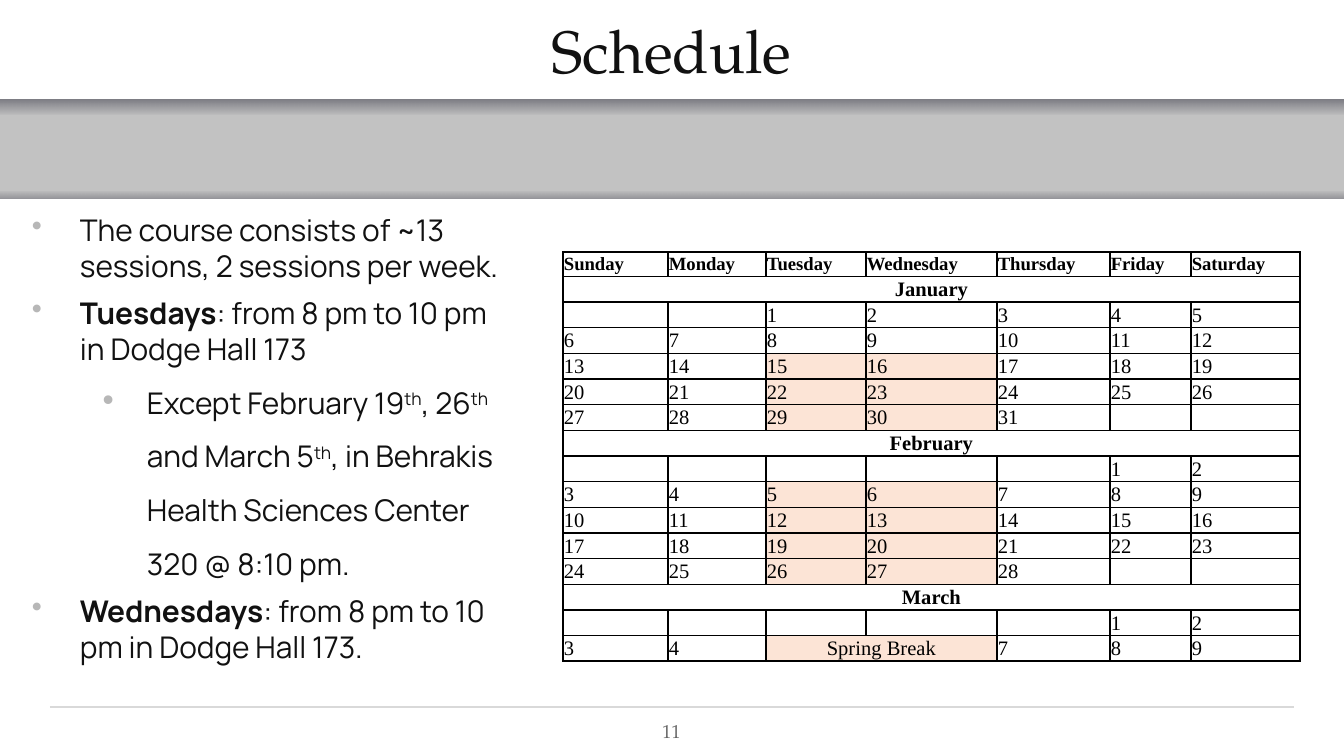
import pptx
import pptx.dml.color
import pptx.enum.shapes
import pptx.enum.text
import pptx.oxml
import pptx.oxml.ns
import pptx.util

EMU_PER_PX = 914400 / 134.4
COLORS = {
    "band": "C2C2C2", "white": "FFFFFF", "shadow": "000014", "rule": "D9D9D9",
    "text": "111111", "bullet": "B7B7B7", "number": "666666",
    "black": "000000", "session": "FCE4D6",
}
SERIF, SANS, TABLE_FONT = "TeX Gyre Pagella", "Manrope", "Times New Roman"
ALIGN = pptx.enum.text.PP_ALIGN
RECTANGLE = pptx.enum.shapes.MSO_SHAPE.RECTANGLE

BULLETS = [
    (0, [("The course consists of ~13 sessions, 2 sessions per week.", "")]),
    (0, [("Tuesdays", "bold"), (": from 8 pm to 10 pm in Dodge Hall 173", "")]),
    (1, [("Except February 19", ""), ("th", "super"), (", 26", ""), ("th", "super"),
         (" and March 5", ""), ("th", "super"),
         (", in Behrakis Health Sciences Center 320 @ 8:10 pm.", "")]),
    (0, [("Wednesdays", "bold"), (": from 8 pm to 10 pm in Dodge Hall 173.", "")]),
]
WEEKDAYS = ["Sunday", "Monday", "Tuesday", "Wednesday", "Thursday", "Friday", "Saturday"]
SESSION_COLUMNS = (2, 3)
# month, column of day 1, last day shown, first session day
MONTHS = [("January", 2, 31, 15), ("February", 5, 28, 5), ("March", 5, 9, 5)]
COLUMN_WIDTHS = [105, 98, 100, 131, 113, 81, 109]


def px(length):
    return pptx.util.Emu(round(length * EMU_PER_PX))


def rgb(name):
    return pptx.dml.color.RGBColor.from_string(COLORS[name])


def add_xml(parent, markup):
    namespace = pptx.oxml.ns.nsdecls("a")
    parent.append(pptx.oxml.parse_xml(markup.replace(">", f" {namespace}>", 1)))


def format_run(run, font_name, size, color, bold=False):
    run.font.name = font_name
    run.font.size = pptx.util.Pt(size)
    run.font.color.rgb = rgb(color)
    run.font.bold = bold


def add_rectangle(slide, box):
    shape = slide.shapes.add_shape(RECTANGLE, *map(px, box))
    shape.shadow.inherit = False
    shape.line.fill.background()
    return shape


def add_panel(slide, box):
    shape = add_rectangle(slide, box)
    shape.fill.solid()
    shape.fill.fore_color.rgb = rgb("white")


def add_edge_shadow(slide, box, angle):
    """Fade from half-opaque to clear in the direction of the angle."""
    shape = add_rectangle(slide, box)
    shape.fill.gradient()
    shape.fill.gradient_angle = angle
    for stop, position, alpha in zip(shape.fill.gradient_stops, (0, 1), (50000, 0)):
        stop.position = position
        stop.color.rgb = rgb("shadow")
    colors = shape.fill._xPr.iter(pptx.oxml.ns.qn("a:srgbClr"))
    for color, alpha in zip(list(colors), (50000, 0)):
        add_xml(color, f'<a:alpha val="{alpha}"></a:alpha>')


def add_backdrop(slide, box):
    left, top, width, height = box
    slide.background.fill.solid()
    slide.background.fill.fore_color.rgb = rgb("band")
    add_edge_shadow(slide, (left, top + 192, width, 16), 90)
    add_edge_shadow(slide, (left, top + 94, width, 21), 270)
    add_panel(slide, (left, top, width, 99))
    add_panel(slide, (left, top + 199, width, height - 199))
    rule = slide.shapes.add_connector(
        pptx.enum.shapes.MSO_CONNECTOR.STRAIGHT,
        px(left + 50), px(top + 707), px(left + width - 50), px(top + 707))
    rule.line.color.rgb = rgb("rule")
    rule.line.width = pptx.util.Pt(0.75)
    add_xml(rule._element.spPr, "<a:effectLst></a:effectLst>")


def add_text_frame(slide, box):
    frame = slide.shapes.add_textbox(*map(px, box)).text_frame
    frame.word_wrap = True
    frame.margin_left = frame.margin_right = px(13)
    frame.margin_top = frame.margin_bottom = px(13)
    return frame


def add_centered_text(slide, box, text, size, color):
    frame = add_text_frame(slide, box)
    frame.vertical_anchor = pptx.enum.text.MSO_ANCHOR.MIDDLE
    frame.text = text
    paragraph = frame.paragraphs[0]
    paragraph.alignment = ALIGN.CENTER
    format_run(paragraph.runs[0], SERIF, size, color)


def add_bullet_list(slide, box):
    frame = add_text_frame(slide, box)
    for index, (level, parts) in enumerate(BULLETS):
        paragraph = frame.add_paragraph() if index else frame.paragraphs[0]
        paragraph.level = level
        if level:
            paragraph.line_spacing = 1.5
        elif index:
            paragraph.space_before = pptx.util.Pt(6)
        properties = paragraph._p.get_or_add_pPr()
        properties.set("marL", str(px(67 * (level + 1))))
        properties.set("indent", str(-px(48)))
        add_xml(properties, f'<a:buClr><a:srgbClr val="{COLORS["bullet"]}"/></a:buClr>')
        add_xml(properties, f'<a:buChar char="{"•∙"[level]}"></a:buChar>')
        for text, style in parts:
            run = paragraph.add_run()
            run.text = text
            format_run(run, SANS, 16, "text", style == "bold")
            if style == "super":
                run._r.get_or_add_rPr().set("baseline", "30000")


def fill_cell(cell, text="", size=11, bold=False, alignment=ALIGN.JUSTIFY, color="white"):
    cell.margin_left = cell.margin_right = cell.margin_top = px(1)
    cell.margin_bottom = 0
    cell.vertical_anchor = pptx.enum.text.MSO_ANCHOR.MIDDLE
    cell.text = text
    paragraph = cell.text_frame.paragraphs[0]
    paragraph.alignment = alignment
    for run in paragraph.runs:
        format_run(run, TABLE_FONT, size, "black", bold)
    if not text:
        paragraph._p.get_or_add_endParaRPr().set("sz", str(size * 100))
    properties = cell._tc.get_or_add_tcPr()
    for side in ("lnL", "lnR", "lnT", "lnB"):
        add_xml(properties, f'<a:{side} w="12700"><a:solidFill>'
                f'<a:srgbClr val="{COLORS["black"]}"/></a:solidFill></a:{side}>')
    cell.fill.solid()
    cell.fill.fore_color.rgb = rgb(color)


def month_weeks(first_column, last_day):
    """Weeks of day numbers, Sunday first, with None outside the month."""
    days = [None] * first_column + list(range(1, last_day + 1))
    days += [None] * (-len(days) % 7)
    return [days[start:start + 7] for start in range(0, len(days), 7)]


def add_calendar(slide, box):
    months = [(name, month_weeks(column, last), session)
              for name, column, last, session in MONTHS]
    row_count = 1 + sum(1 + len(weeks) for _, weeks, _ in months)
    table_frame = slide.shapes.add_table(row_count, len(WEEKDAYS), *map(px, box))
    table = table_frame.table
    for column, width in zip(table.columns, COLUMN_WIDTHS):
        column.width = px(width)
    for row in table.rows:
        row.height = px(box[3] / row_count)

    for column, weekday in enumerate(WEEKDAYS):
        fill_cell(table.cell(0, column), weekday, size=10, bold=True)
    row = 1
    for name, weeks, first_session in months:
        for column in range(len(WEEKDAYS)):
            fill_cell(table.cell(row, column), "" if column else name,
                      bold=True, alignment=ALIGN.CENTER)
        table.cell(row, 0).merge(table.cell(row, len(WEEKDAYS) - 1))
        for row, week in enumerate(weeks, row + 1):
            for column, day in enumerate(week):
                session = column in SESSION_COLUMNS and day and day >= first_session
                text, alignment = str(day or ""), ALIGN.JUSTIFY
                if session and name == "March":
                    text = "Spring Break" if column == SESSION_COLUMNS[0] else ""
                    alignment = ALIGN.CENTER
                fill_cell(table.cell(row, column), text, alignment=alignment,
                          color="session" if session else "white")
        row += 1
    first, last = SESSION_COLUMNS
    table.cell(row_count - 1, first).merge(table.cell(row_count - 1, last))


def main():
    presentation = pptx.Presentation()
    presentation.slide_width, presentation.slide_height = px(1344), px(756)
    slide = presentation.slides.add_slide(presentation.slide_layouts[6])
    add_backdrop(slide, (0, 0, 1344, 756))
    add_centered_text(slide, (87, 0, 1169, 99), "Schedule", 32, "text")
    add_bullet_list(slide, (0, 199, 530, 460))
    add_centered_text(slide, (87, 707, 1169, 49), "11", 10, "number")
    add_calendar(slide, (563, 252, 737, 390))
    presentation.save("out.pptx")


if __name__ == "__main__":
    main()
